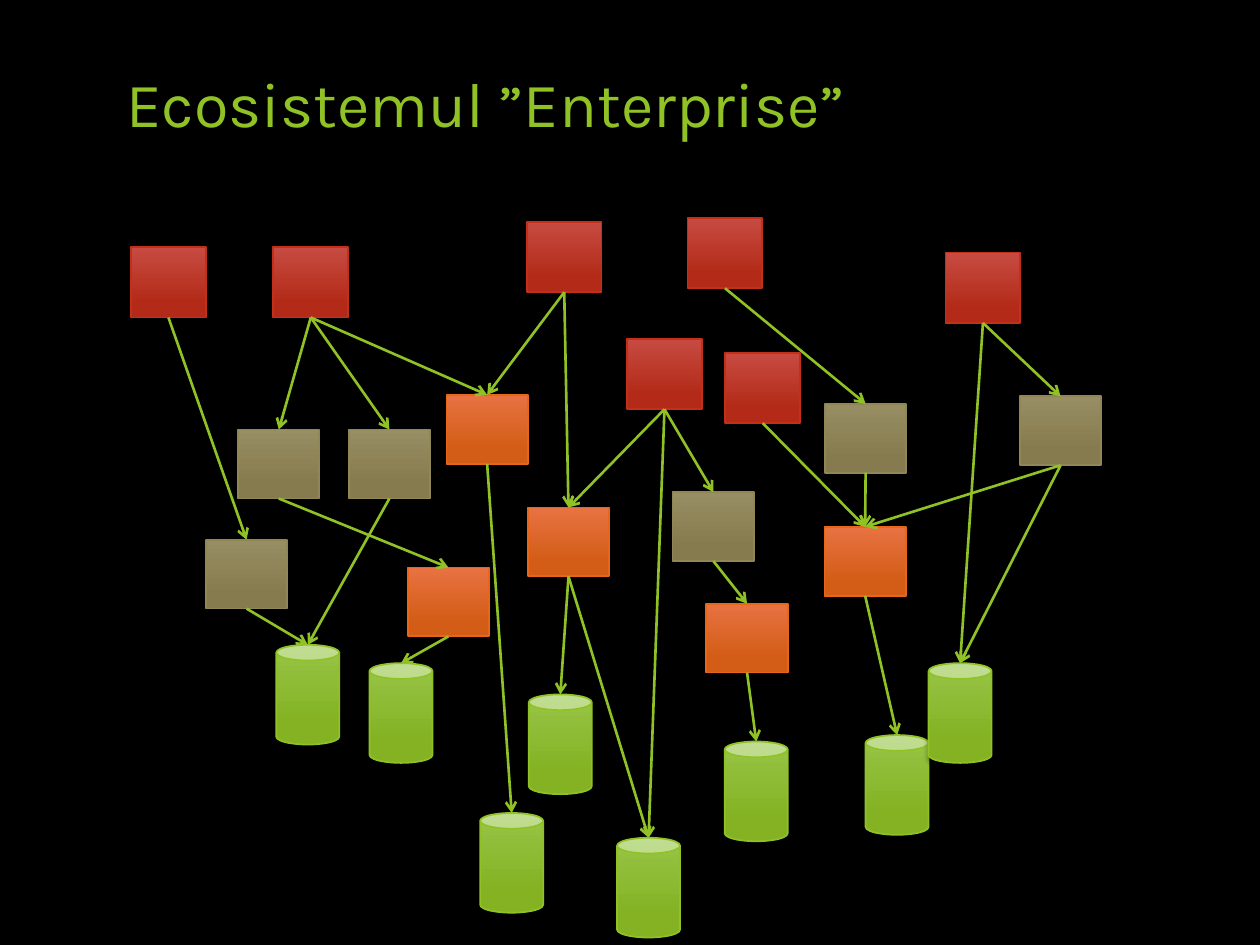
from dataclasses import dataclass

from lxml.etree import SubElement
from pptx import Presentation
from pptx.dml.color import RGBColor
from pptx.enum.shapes import MSO_CONNECTOR, MSO_SHAPE
from pptx.enum.text import MSO_ANCHOR, PP_ALIGN
from pptx.oxml.ns import qn
from pptx.shapes.autoshape import Shape
from pptx.slide import Slide
from pptx.util import Cm, Pt


@dataclass(frozen=True)
class Theme:
    """Colours, font and type sizes of the slide."""
    back: str = "000000"
    green: str = "90C226"
    font: str = "Karla"
    title: float = 36
    edge: float = 1
    arrow: float = 1.5


@dataclass(frozen=True)
class Kind:
    """Look shared by all nodes of one layer; sizes in cm."""
    form: MSO_SHAPE
    width: float
    height: float
    top: str
    base: str
    line: str
    entry: int = 0


@dataclass(frozen=True)
class Node:
    """One system on the map; place in cm."""
    name: str
    kind: Kind
    left: float
    top: float


THEME = Theme()
APP = Kind(MSO_SHAPE.RECTANGLE, 1.51, 1.42, "C74B42", "B32B18", "C42F1A")
LOGIC = Kind(MSO_SHAPE.RECTANGLE, 1.64, 1.39, "988E64", "857B4E", "918655")
HUB = Kind(MSO_SHAPE.RECTANGLE, 1.64, 1.39, "E87242", "D35D16", "E76618")
STORE = Kind(MSO_SHAPE.CAN, 1.27, 2.01, "97C547", "84B223", THEME.green, 1)

NODES = [
    Node("app1", APP, 2.64, 4.98),
    Node("app2", APP, 5.51, 4.98),
    Node("app3", APP, 10.62, 4.47),
    Node("app4", APP, 12.64, 6.83),
    Node("app5", APP, 13.86, 4.39),
    Node("app6", APP, 14.62, 7.11),
    Node("app7", APP, 19.06, 5.09),
    Node("logic1", LOGIC, 4.15, 10.88),
    Node("logic2", LOGIC, 4.8, 8.66),
    Node("logic3", LOGIC, 7.03, 8.66),
    Node("logic4", LOGIC, 13.56, 9.92),
    Node("logic5", LOGIC, 16.63, 8.14),
    Node("logic6", LOGIC, 20.56, 7.99),
    Node("hub1", HUB, 8.22, 11.44),
    Node("hub2", HUB, 9, 7.96),
    Node("hub3", HUB, 10.64, 10.23),
    Node("hub4", HUB, 14.24, 12.17),
    Node("hub5", HUB, 16.62, 10.62),
    Node("store1", STORE, 5.57, 13),
    Node("store2", STORE, 7.45, 13.37),
    Node("store3", STORE, 9.68, 16.39),
    Node("store4", STORE, 10.66, 14),
    Node("store5", STORE, 12.44, 16.89),
    Node("store6", STORE, 14.61, 14.95),
    Node("store7", STORE, 17.45, 14.82),
    Node("store8", STORE, 18.72, 13.37),
]

LINKS = {
    "app1": ["logic1"],
    "app2": ["logic2", "logic3", "hub2"],
    "app3": ["hub2", "hub3"],
    "app4": ["hub3", "logic4", "store5"],
    "app5": ["logic5"],
    "app6": ["hub5"],
    "app7": ["logic6", "store8"],
    "logic1": ["store1"],
    "logic2": ["hub1"],
    "logic3": ["store1"],
    "logic4": ["hub4"],
    "logic5": ["hub5"],
    "logic6": ["hub5", "store8"],
    "hub1": ["store2"],
    "hub2": ["store3"],
    "hub3": ["store4", "store5"],
    "hub4": ["store6"],
    "hub5": ["store7"],
}


def color(code: str) -> RGBColor:
    """Turn a hex code into a colour."""
    return RGBColor.from_string(code)


def add_title(slide: Slide, text: str) -> None:
    """Place and format the title."""
    title = slide.shapes.title
    title.left, title.top = Cm(2.29), Cm(1.17)
    title.width, title.height = Cm(17.63), Cm(2.51)
    frame = title.text_frame
    frame.word_wrap = True
    frame.vertical_anchor = MSO_ANCHOR.TOP
    line = frame.paragraphs[0]
    line.alignment = PP_ALIGN.LEFT
    run = line.add_run()
    run.text = text
    run.font.name = THEME.font
    run.font.size = Pt(THEME.title)
    run.font.color.rgb = color(THEME.green)


def add_shade(shape: Shape) -> None:
    """Give a shape a soft shadow below it."""
    shape.shadow.inherit = False
    effects = shape._element.spPr.find(qn("a:effectLst"))
    shade = SubElement(effects, qn("a:outerShdw"), blurRad=str(Pt(3)),
                       dist=str(Pt(2)), dir="5400000", rotWithShape="0")
    tint = SubElement(shade, qn("a:srgbClr"), val=THEME.back)
    SubElement(tint, qn("a:alpha"), val="35000")


def add_node(slide: Slide, node: Node) -> Shape:
    """Draw one system with a vertical gradient."""
    kind = node.kind
    shape = slide.shapes.add_shape(kind.form, Cm(node.left), Cm(node.top),
                                   Cm(kind.width), Cm(kind.height))
    shape.fill.gradient()
    shape.fill.gradient_angle = 270
    stops = zip(shape.fill.gradient_stops, (0, 0.78), (kind.top, kind.base))
    for stop, place, code in stops:
        stop.position = place
        stop.color.rgb = color(code)
    shape.line.color.rgb = color(kind.line)
    shape.line.width = Pt(THEME.edge)
    add_shade(shape)
    return shape


def add_link(slide: Slide, start: Shape, end: Shape, entry: int) -> None:
    """Draw an arrow from the bottom of one system to the top of another."""
    head = start.left + start.width // 2, start.top + start.height
    tail = end.left + end.width // 2, end.top
    link = slide.shapes.add_connector(MSO_CONNECTOR.STRAIGHT, *head, *tail)
    link.begin_connect(start, 2)
    link.end_connect(end, entry)
    link.end_x, link.end_y = tail
    link.line.color.rgb = color(THEME.green)
    link.line.width = Pt(THEME.arrow)
    SubElement(link.line._get_or_add_ln(), qn("a:tailEnd"), type="arrow")
    SubElement(link._element.spPr, qn("a:effectLst"))


def main() -> None:
    """Build the slide and save it."""
    deck = Presentation()
    deck.slide_width, deck.slide_height = Cm(25.4), Cm(19.05)
    slide = deck.slides.add_slide(deck.slide_layouts[5])
    slide.background.fill.solid()
    slide.background.fill.fore_color.rgb = color(THEME.back)
    add_title(slide, "Ecosistemul ”Enterprise”")
    shapes = {node.name: add_node(slide, node) for node in NODES}
    entries = {node.name: node.kind.entry for node in NODES}
    for start, ends in LINKS.items():
        for end in ends:
            add_link(slide, shapes[start], shapes[end], entries[end])
    deck.save("out.pptx")


main()
